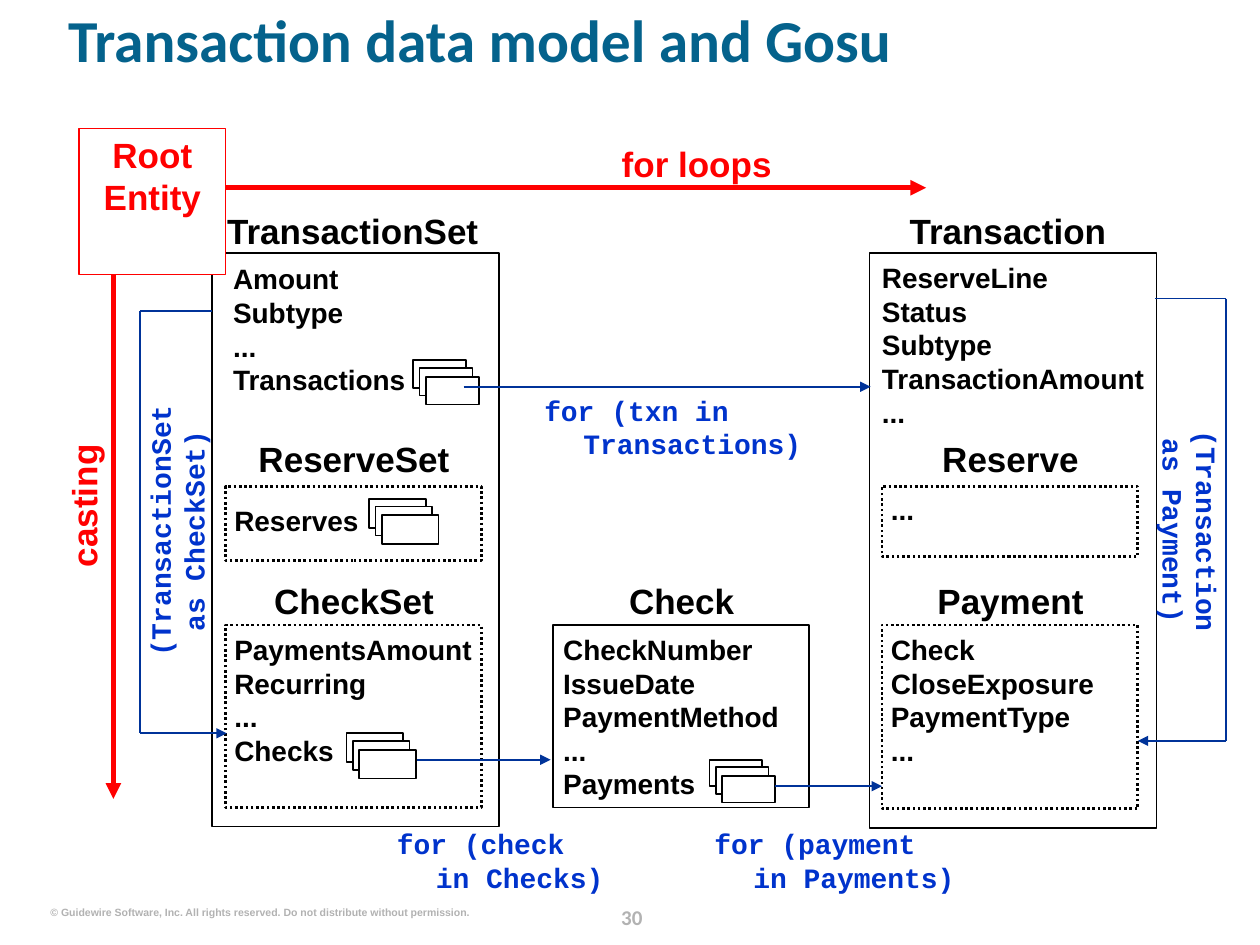
from copy import deepcopy

from lxml.etree import SubElement
from pptx import Presentation
from pptx.dml.color import RGBColor
from pptx.enum.dml import MSO_LINE
from pptx.enum.shapes import MSO_CONNECTOR, MSO_SHAPE
from pptx.enum.text import MSO_ANCHOR, PP_ALIGN
from pptx.oxml.ns import qn
from pptx.util import Pt

PX = 9144  # EMU per px, 100 px to the inch

HEX = {"black": "000000", "white": "FFFFFF", "red": "FF0000", "code": "0033CC",
       "link": "003399", "title": "04628C", "grey": "B2B2B2"}

# font, size, colour, alignment
STYLES = {
    "head": ("Arial", 20, "black", PP_ALIGN.CENTER),
    "field": ("Arial", 16, "black", PP_ALIGN.LEFT),
    "axis": ("Arial", 20, "red", PP_ALIGN.CENTER),
    "loop": ("Courier New", 16, "code", PP_ALIGN.LEFT),
    "cast": ("Courier New", 16, "code", PP_ALIGN.CENTER),
    "legal": ("Arial", 6, "grey", PP_ALIGN.LEFT),
    "page": ("Calibri", 12, "grey", PP_ALIGN.CENTER),
    "title": ("Calibri", 34, "title", PP_ALIGN.LEFT),
}

TITLE = "Transaction data model and Gosu"

# left, top, width, height, dotted
FRAMES = [
    (168, 201, 228, 455, False),
    (690, 201, 228, 456, False),
    (179, 386, 203, 59, True),
    (700, 386, 203, 56, True),
    (179, 496, 203, 145, True),
    (439, 496, 203, 145, False),
    (700, 496, 203, 146, True),
]

# left and top of the rear card, card width, card height
STACKS = [
    (328, 286, 42, 22),
    (293, 396, 45, 23),
    (275, 582, 45, 23),
    (563, 603, 42, 21),
]

# text, style, left, top, width, height, rotation
TEXTS = [
    ("TransactionSet", "head", 173, 166, 214, 33, 0),
    ("Transaction", "head", 693, 166, 214, 33, 0),
    ("ReserveSet", "head", 189, 347, 184, 33, 0),
    ("Reserve", "head", 710, 347, 184, 33, 0),
    ("CheckSet", "head", 189, 460, 184, 33, 0),
    ("Check", "head", 449, 460, 184, 33, 0),
    ("Payment", "head", 710, 460, 184, 33, 0),
    ("Amount\nSubtype\n...\nTransactions", "field", 185, 208, 192, 107, 0),
    ("ReserveLine\nStatus\nSubtype\nTransactionAmount\n...", "field",
     700, 207, 224, 133, 0),
    ("Reserves", "field", 186, 400, 111, 27, 0),
    ("...", "field", 707, 391, 111, 27, 0),
    ("PaymentsAmount\nRecurring\n...\nChecks", "field", 186, 502, 192, 107, 0),
    ("CheckNumber\nIssueDate\nPaymentMethod\n...\nPayments", "field",
     447, 502, 192, 133, 0),
    ("Check\nCloseExposure\nPaymentType\n...", "field", 707, 502, 192, 107, 0),
    ("for (txn in\nTransactions)", "loop", 432, 312, 223, 53, 0),
    ("for (check\nin Checks)", "loop", 315, 656, 190, 53, 0),
    ("for (payment\nin Payments)", "loop", 567, 656, 208, 53, 0),
    ("(TransactionSet as CheckSet)", "cast", 30, 395, 220, 53, 270),
    ("(Transaction\nas Payment)", "cast", 835, 395, 220, 53, 90),
    ("for loops", "axis", 398, 113, 310, 33, 0),
    ("casting", "axis", -89, 385, 310, 33, 270),
    ("© Guidewire Software, Inc. All rights reserved. "
     "Do not distribute without permission.", "legal", 40, 719, 345, 10, 0),
    ("30", "page", 473, 713, 57, 25, 0),
]

# start x, start y, end x, end y, arrowhead
LINKS = [
    (368, 307, 691, 307, True),
    (331, 603, 437, 603, True),
    (615, 624, 700, 624, True),
    (168, 247, 111, 247, False),
    (111, 247, 111, 582, False),
    (111, 582, 180, 582, True),
    (917, 237, 973, 237, False),
    (973, 237, 973, 588, False),
    (973, 588, 903, 588, True),
]
AXES = [(175, 149, 735, 149, True), (90, 198, 90, 634, True)]

ROOT_BOX = (63, 102, 116, 116)
ROOT_TEXT = ("Root\nEntity", "axis", 71, 106, 100, 67, 0)


def emu(*lens):
    return [n * PX for n in lens]


def color(name):
    return RGBColor.from_string(HEX[name])


def write(frame, text, style):
    """Fill a text frame with one paragraph, breaking lines inside it."""
    font, size, tint, align = STYLES[style]
    frame.margin_left = frame.margin_right = 0
    frame.margin_top = frame.margin_bottom = 0
    frame.vertical_anchor = MSO_ANCHOR.TOP
    frame.word_wrap = True
    para = frame.paragraphs[0]
    para.text = text
    para.alignment = align
    for run in para.runs:
        run.font.name = font
        run.font.size = Pt(size)
        run.font.bold = True
        run.font.color.rgb = color(tint)
    # line breaks need the run format too, or they keep the default height
    for gap in para._p.findall(qn("a:br")):
        gap.append(deepcopy(para.runs[0]._r.rPr))
    if style == "loop":
        props = para._p.get_or_add_pPr()
        props.set("marL", str(31 * PX))
        props.set("indent", str(-31 * PX))
    return para


def label(slide, text, style, x, y, w, h, turn):
    box = slide.shapes.add_textbox(*emu(x, y, w, h))
    box.rotation = turn
    para = write(box.text_frame, text, style)
    if style == "page":
        para.line_spacing = Pt(18)


def rect(slide, x, y, w, h, fill=None, line="black", dots=False):
    box = slide.shapes.add_shape(MSO_SHAPE.RECTANGLE, *emu(x, y, w, h))
    box.shadow.inherit = False
    if fill:
        box.fill.solid()
        box.fill.fore_color.rgb = color(fill)
    else:
        box.fill.background()
    box.line.color.rgb = color(line)
    box.line.width = Pt(1.5 if dots else 1)
    if dots:
        box.line.dash_style = MSO_LINE.ROUND_DOT


def stack(slide, x, y, w, h):
    """Draw three overlapping cards that stand for an array."""
    for i in range(3):
        rect(slide, x + 5 * i, y + 13 * i // 2, w, h, "white")


def link(slide, x1, y1, x2, y2, arrow, tint, width):
    line = slide.shapes.add_connector(MSO_CONNECTOR.STRAIGHT, *emu(x1, y1, x2, y2))
    line.line.color.rgb = color(tint)
    line.line.width = Pt(width)
    if arrow:
        SubElement(line.line._get_or_add_ln(), qn("a:tailEnd"), type="triangle")
    SubElement(line._element.spPr, qn("a:effectLst"))


def main():
    deck = Presentation()
    deck.slide_width, deck.slide_height = emu(1000, 750)
    slide = deck.slides.add_slide(deck.slide_layouts[5])

    title = slide.shapes.title
    title.left, title.top, title.width, title.height = emu(54, 13, 910, 81)
    write(title.text_frame, TITLE, "title").line_spacing = 0.8

    for frame in FRAMES:
        rect(slide, *frame[:4], dots=frame[4])
    for cards in STACKS:
        stack(slide, *cards)
    for text in TEXTS:
        label(slide, *text)
    for ends in LINKS:
        link(slide, *ends, "link", 1)
    for ends in AXES:
        link(slide, *ends, "red", 3)
    rect(slide, *ROOT_BOX, "white", "red")
    label(slide, *ROOT_TEXT)

    deck.save("out.pptx")


if __name__ == "__main__":
    main()
